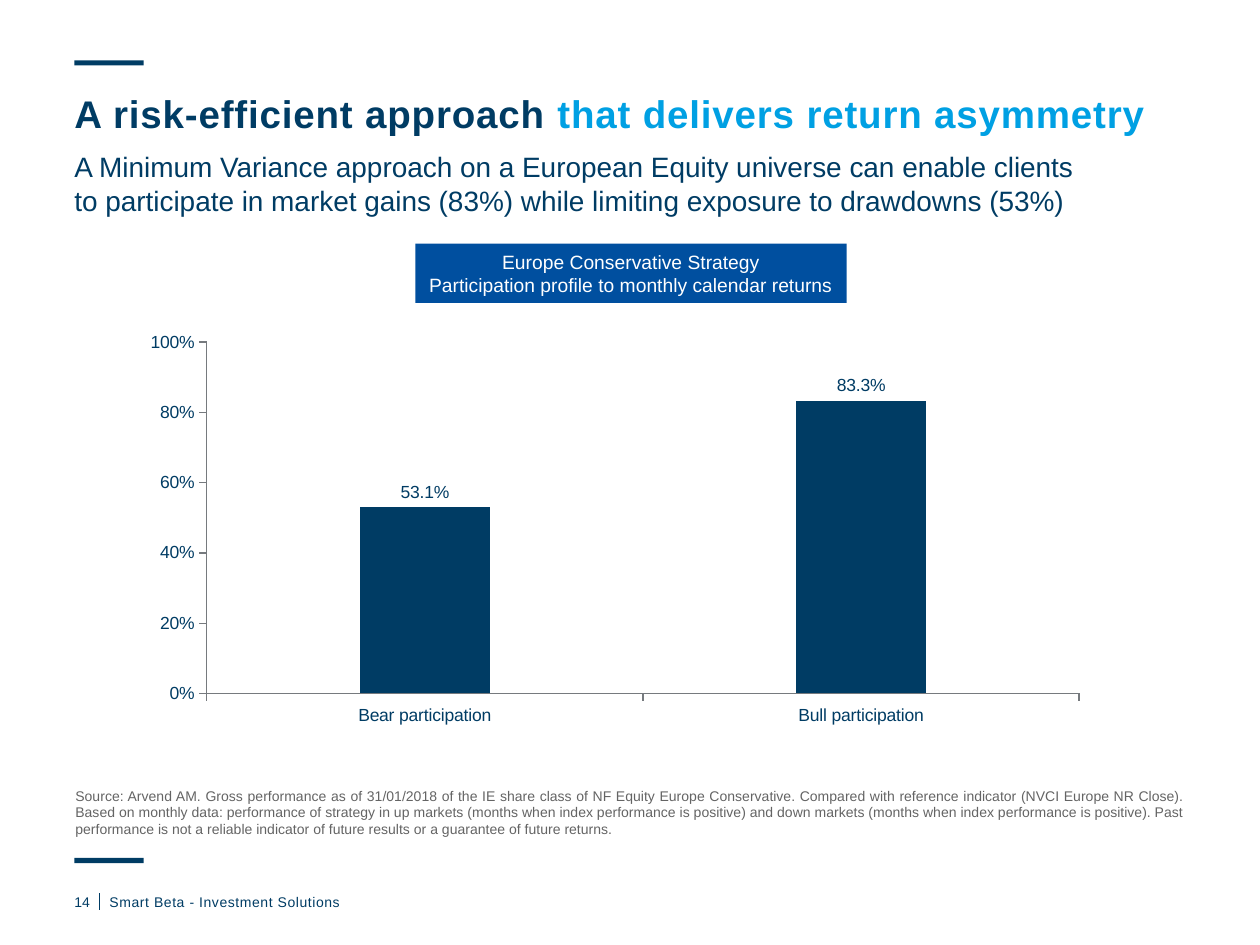
import pptx
import pptx.chart.data
import pptx.dml.color
import pptx.enum.chart
import pptx.enum.shapes
import pptx.enum.text
import pptx.oxml.ns
import pptx.oxml.xmlchemy
import pptx.util

NAVY = pptx.dml.color.RGBColor(0x00, 0x3C, 0x64)
SKY = pptx.dml.color.RGBColor(0x00, 0xA0, 0xE3)
BLUE = pptx.dml.color.RGBColor(0x00, 0x4F, 0x9F)
GREY = pptx.dml.color.RGBColor(0x64, 0x64, 0x64)
AXIS_GREY = pptx.dml.color.RGBColor(0x76, 0x7A, 0x7E)
WHITE = pptx.dml.color.RGBColor(0xFF, 0xFF, 0xFF)
ALIGN = pptx.enum.text.PP_ALIGN
ANCHOR = pptx.enum.text.MSO_ANCHOR
LEFT, WIDTH = 42.5, 635


class SlideBuilder:
    """Holds the slide and its style, and adds each kind of element in points."""

    font_name = "Arial"

    def __init__(self, slide):
        self.slide = slide

    def points(self, *lengths):
        return [pptx.util.Pt(length) for length in lengths]

    def style(self, font, size, color, bold=False):
        font.name, font.size, font.bold = self.font_name, pptx.util.Pt(size), bold
        font.color.rgb = color

    def frame(self, shape, anchor=ANCHOR.TOP, wrap=True):
        frame = shape.text_frame
        frame.margin_left = frame.margin_right = 0
        frame.margin_top = frame.margin_bottom = 0
        frame.auto_size = pptx.enum.text.MSO_AUTO_SIZE.NONE
        frame.word_wrap, frame.vertical_anchor = wrap, anchor
        return frame

    def space(self, run, spacing):
        run._r.get_or_add_rPr().set("spc", str(round(spacing * 100)))

    def title(self, left, top, width, height, parts, size, spacing):
        heading = self.slide.shapes.title
        heading.left, heading.top, heading.width, heading.height = self.points(
            left, top, width, height)
        paragraph = self.frame(heading).paragraphs[0]
        paragraph.alignment, paragraph.line_spacing = ALIGN.LEFT, 0.9
        self.style(paragraph.font, size, NAVY, True)
        for words, color in parts:
            run = paragraph.add_run()
            run.text, run.font.color.rgb = words, color
            self.space(run, spacing)

    def text(self, left, top, width, height, words, size, color=NAVY,
             align=ALIGN.LEFT, anchor=ANCHOR.TOP, spacing=0):
        box = self.slide.shapes.add_textbox(*self.points(left, top, width, height))
        paragraph = self.frame(box, anchor).paragraphs[0]
        paragraph.text, paragraph.alignment = words, align
        self.style(paragraph.font, size, color)
        if spacing:
            for run in paragraph.runs:
                self.space(run, spacing)

    def block(self, left, top, width, height, color, words="", size=11):
        rectangle = self.slide.shapes.add_shape(
            pptx.enum.shapes.MSO_SHAPE.RECTANGLE, *self.points(left, top, width, height))
        rectangle.shadow.inherit = False
        rectangle.fill.solid()
        rectangle.fill.fore_color.rgb = color
        rectangle.line.fill.background()
        if words:
            paragraph = self.frame(rectangle, ANCHOR.MIDDLE, False).paragraphs[0]
            paragraph.text, paragraph.alignment = words, ALIGN.CENTER
            self.style(paragraph.font, size, WHITE)

    def rule(self, x, top, bottom, color, weight):
        divider = self.slide.shapes.add_connector(
            pptx.enum.shapes.MSO_CONNECTOR.STRAIGHT, *self.points(x, top, x, bottom))
        divider.line.color.rgb, divider.line.width = color, pptx.util.Pt(weight)
        divider._element.spPr.append(pptx.oxml.xmlchemy.OxmlElement("a:effectLst"))

    def column_chart(self, left, top, width, height, categories, values, plot_area):
        data = pptx.chart.data.CategoryChartData(number_format="0.0%")
        data.categories = categories
        data.add_series("Series 1", values)
        chart = self.slide.shapes.add_chart(
            pptx.enum.chart.XL_CHART_TYPE.COLUMN_CLUSTERED,
            *self.points(left, top, width, height), data).chart
        chart.has_legend = chart.has_title = False
        self.style(chart.font, 10, NAVY)
        for axis in (chart.category_axis, chart.value_axis):
            axis.has_major_gridlines = False
            axis.major_tick_mark = pptx.enum.chart.XL_TICK_MARK.OUTSIDE
            axis.format.line.color.rgb = AXIS_GREY
            axis.format.line.width = pptx.util.Pt(0.75)
        chart.category_axis.tick_label_position = pptx.enum.chart.XL_TICK_LABEL_POSITION.LOW
        scale = chart.value_axis
        scale.minimum_scale, scale.maximum_scale, scale.major_unit = 0, 1, 0.2
        scale.tick_labels.number_format = "0%"
        scale.tick_labels.number_format_is_linked = False
        plot = chart.plots[0]
        plot.gap_width, plot.vary_by_categories = 237, False
        columns = plot.series[0]
        columns.format.fill.solid()
        columns.format.fill.fore_color.rgb = NAVY
        labels = columns.data_labels
        labels.show_value = True
        labels.number_format, labels.number_format_is_linked = "0.0%", False
        labels.position = pptx.enum.chart.XL_LABEL_POSITION.OUTSIDE_END
        self.style(labels.font, 10, NAVY)
        self.place_plot(chart, plot_area)

    def place_plot(self, chart, plot_area):
        area = chart._chartSpace.chart.plotArea
        for old in area.findall(pptx.oxml.ns.qn("c:layout")):
            area.remove(old)
        layout = pptx.oxml.xmlchemy.OxmlElement("c:layout")
        manual = pptx.oxml.xmlchemy.OxmlElement("c:manualLayout")
        layout.append(manual)
        settings = [("layoutTarget", "inner"), ("xMode", "edge"), ("yMode", "edge")]
        for tag, value in settings + list(zip("xywh", plot_area)):
            setting = pptx.oxml.xmlchemy.OxmlElement("c:" + tag)
            setting.set("val", str(value))
            manual.append(setting)
        area.insert(0, layout)


def main():
    presentation = pptx.Presentation()
    presentation.slide_width = pptx.util.Pt(720)
    presentation.slide_height = pptx.util.Pt(540)
    page = SlideBuilder(presentation.slides.add_slide(presentation.slide_layouts[5]))

    for accent_top in (34.5, 490.3):
        page.block(LEFT, accent_top, 39.6, 2.9, NAVY)
    page.title(LEFT, 54.7, WIDTH, 30, [("A risk-efficient approach ", NAVY),
                                     ("that delivers return asymmetry", SKY)], 22, 0.5)
    page.text(LEFT, 85.7, WIDTH, 40,
              "A Minimum Variance approach on a European Equity universe can enable clients \v"
              "to participate in market gains (83%) while limiting exposure to drawdowns (53%)", 16)
    page.block(237.4, 139.3, 246.4, 33.8, BLUE,
               "Europe Conservative Strategy\vParticipation profile to monthly calendar returns")
    page.column_chart(67.7, 185, 560.2, 264.2, ["Bear participation", "Bull participation"],
                      [0.531, 0.833], (0.09, 0.04, 0.89, 0.76))
    page.text(LEFT + 0.6, 429.8, WIDTH - 0.6, 48.8,
              "Source: Arvend AM. Gross performance as of 31/01/2018 of the IE share class of "
              "NF Equity Europe Conservative. Compared with reference indicator (NVCI Europe NR "
              "Close). Based on monthly data: performance of strategy in up markets (months when "
              "index performance is positive) and down markets (months when index performance is "
              "positive). Past performance is not a reliable indicator of future results or a "
              "guarantee of future returns.", 8, GREY, ALIGN.JUSTIFY, ANCHOR.BOTTOM)
    page.text(LEFT, 510.5, 14, 14, "14", 8)
    page.rule(56.9, 510.5, 519.8, NAVY, 0.5)
    page.text(62.6, 510.5, 410, 14, "Smart Beta - Investment Solutions", 8, spacing=0.3)

    presentation.save("out.pptx")


if __name__ == "__main__":
    main()
